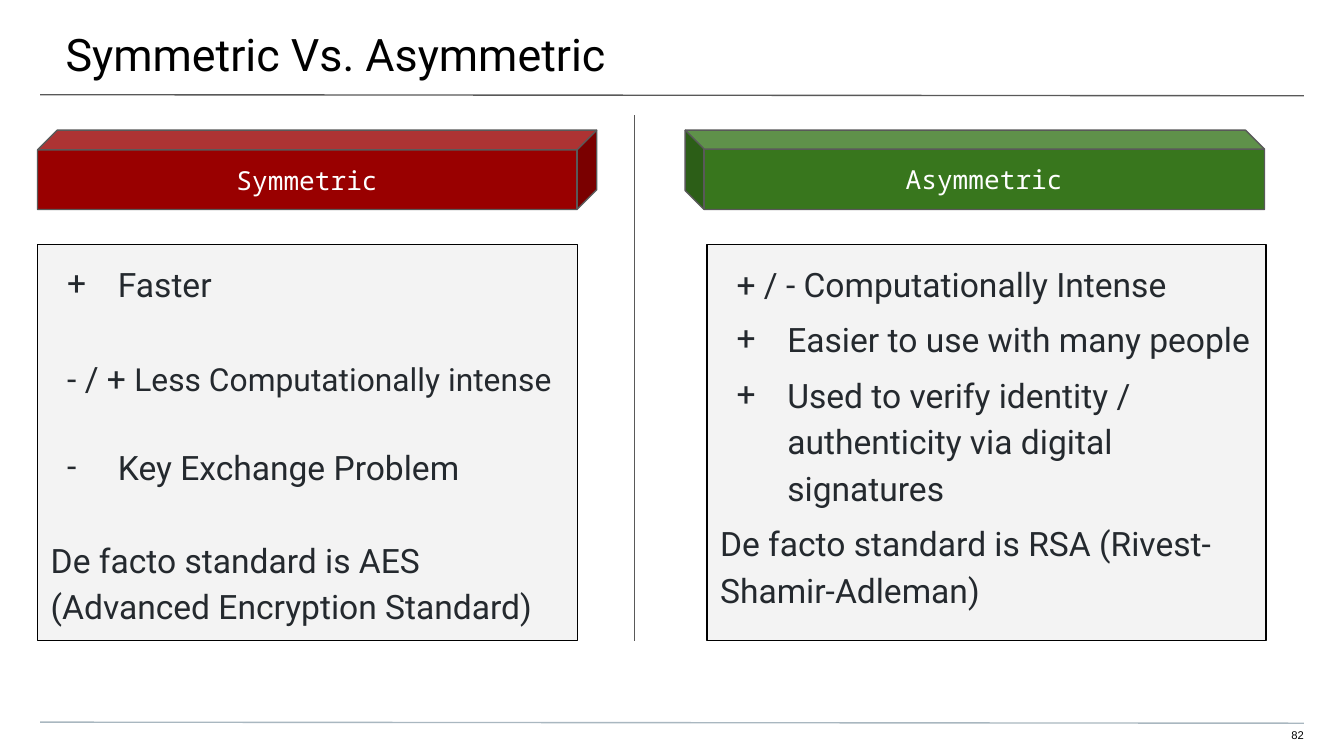
from dataclasses import dataclass

from lxml import etree
from pptx import Presentation
from pptx.dml.color import RGBColor
from pptx.enum.shapes import MSO_CONNECTOR, MSO_SHAPE
from pptx.enum.text import MSO_ANCHOR, PP_ALIGN
from pptx.oxml.ns import qn
from pptx.util import Cm, Pt

STRAIGHT = MSO_CONNECTOR.STRAIGHT
CUBE, RECT = MSO_SHAPE.CUBE, MSO_SHAPE.RECTANGLE
TOP, MIDDLE = MSO_ANCHOR.TOP, MSO_ANCHOR.MIDDLE
LEFT, CENTER, RIGHT = PP_ALIGN.LEFT, PP_ALIGN.CENTER, PP_ALIGN.RIGHT


@dataclass(frozen=True)
class Theme:
    sans: str = "Roboto"
    mono: str = "Noto Sans Mono"
    number_font: str = "Arial"
    black: str = "000000"
    white: str = "FFFFFF"
    rule: str = "595959"
    footer_rule: str = "A9B7C0"
    red: str = "990000"
    green: str = "38761D"
    panel: str = "F3F3F3"
    body: str = "24292E"
    title_size: float = 24
    header_size: float = 14
    body_size: float = 18
    small_body_size: float = 17
    number_size: float = 6
    line_width: float = 0.75


T = Theme()
INSET = 0.25
HANG = 0.96
TEXT_INDENT = 1.27


def set_all(target, values):
    for name, value in values.items():
        setattr(target, name, value)


def format_frame(tf, insets, anchor=TOP):
    left, top, right, bottom = (Cm(i) for i in insets)
    set_all(tf, {"word_wrap": True, "vertical_anchor": anchor,
                 "margin_left": left, "margin_top": top,
                 "margin_right": right, "margin_bottom": bottom})


def add_run(p, text, size, font, color):
    r = p.add_run()
    r.text = text
    set_all(r.font, {"size": Pt(size), "name": font})
    r.font.color.rgb = RGBColor.from_string(color)


def add_line(s, x1, y1, x2, y2, color):
    line = s.shapes.add_connector(STRAIGHT, Cm(x1), Cm(y1), Cm(x2), Cm(y2))
    line.line.width = Pt(T.line_width)
    line.line.color.rgb = RGBColor.from_string(color)
    etree.SubElement(line._element.spPr, qn("a:effectLst"))


def add_label(s, box, insets, text, size, font, align=LEFT):
    tf = s.shapes.add_textbox(*(Cm(v) for v in box)).text_frame
    format_frame(tf, insets)
    tf.paragraphs[0].alignment = align
    add_run(tf.paragraphs[0], text, size, font, T.black)


def add_box(s, kind, box, fill, line, anchor):
    sp = s.shapes.add_shape(kind, *(Cm(v) for v in box))
    sp.shadow.inherit = False
    sp.fill.solid()
    sp.fill.fore_color.rgb = RGBColor.from_string(fill)
    sp.line.color.rgb = RGBColor.from_string(line)
    sp.line.width = Pt(T.line_width)
    format_frame(sp.text_frame, [INSET] * 4, anchor)
    return sp


def add_header(s, box, text, fill, depth, mirrored=False):
    sp = add_box(s, CUBE, box, fill, T.rule, MIDDLE)
    sp.adjustments[0] = depth
    if mirrored:
        sp._element.spPr.find(qn("a:xfrm")).set("flipH", "1")
    p = sp.text_frame.paragraphs[0]
    p.alignment = CENTER
    add_run(p, text, T.header_size, T.mono, T.white)


def indent(p, margin, first=0):
    pPr = p._p.get_or_add_pPr()
    pPr.set("marL", str(Cm(margin)))
    pPr.set("indent", str(Cm(first)))
    return pPr


def add_bullet(p, char):
    pPr = indent(p, TEXT_INDENT, -HANG)
    color = etree.SubElement(pPr, qn("a:buClr"))
    etree.SubElement(color, qn("a:srgbClr"), val=T.body)
    etree.SubElement(pPr, qn("a:buFont"), typeface=T.sans)
    etree.SubElement(pPr, qn("a:buChar"), char=char)


def add_panel(s, box, items):
    """Each item: marker ("+", "-", "indent" or ""), space before, (text, size) runs."""
    tf = add_box(s, RECT, box, T.panel, T.black, TOP).text_frame
    for i, (marker, before, runs) in enumerate(items):
        p = tf.add_paragraph() if i else tf.paragraphs[0]
        if marker == "indent":
            indent(p, TEXT_INDENT - HANG)
        elif marker:
            add_bullet(p, marker)
        set_all(p, {"alignment": LEFT, "line_spacing": 1.15,
                    "space_before": Pt(before)})
        for text, size in runs:
            add_run(p, text, size, T.sans, T.body)


def main():
    prs = Presentation()
    prs.slide_width, prs.slide_height = Cm(25.4), Cm(14.29)
    s = prs.slides.add_slide(prs.slide_layouts[6])

    # Rules, title and slide number
    add_line(s, 0.76, 1.79, 24.64, 1.81, T.rule)
    add_line(s, 0.76, 13.65, 24.64, 13.67, T.footer_rule)
    add_label(s, (-0.03, 0, 25.48, 1.47), (1.27, 0.51, 0.76, 0.25),
              "Symmetric Vs. Asymmetric", T.title_size, T.sans)
    add_label(s, (23.9, 13.77, 0.74, 0.3), (0, 0, 0, 0.25),
              "82", T.number_size, T.number_font, RIGHT)

    # Divider and column headers
    add_line(s, 11.99, 2.18, 11.99, 12.12, T.rule)
    add_header(s, (0.71, 2.46, 10.57, 1.5), "Symmetric", T.red, 0.25)
    add_header(s, (12.95, 2.46, 10.95, 1.5), "Asymmetric", T.green, 0.24,
               mirrored=True)

    # Comparison panels
    big, small = T.body_size, T.small_body_size
    add_panel(s, (0.71, 4.62, 10.21, 7.49), [
        ("+", 0, [("Faster", big)]),
        ("indent", 25.5, [("- / + ", big),
                          ("Less Computationally intense", small)]),
        ("-", 23, [("Key Exchange Problem", big)]),
        ("", 25, [("De facto standard is AES (Advanced Encryption Standard)", big)]),
    ])
    add_panel(s, (13.36, 4.62, 10.57, 7.49), [
        ("indent", 0, [("+ / - Computationally Intense", big)]),
        ("+", 5, [("Easier to use with many people", big)]),
        ("+", 5, [("Used to verify identity / authenticity via digital signatures", big)]),
        ("", 5, [("De facto standard is RSA (Rivest-Shamir-Adleman)", big)]),
    ])

    prs.save("out.pptx")


if __name__ == "__main__":
    main()
